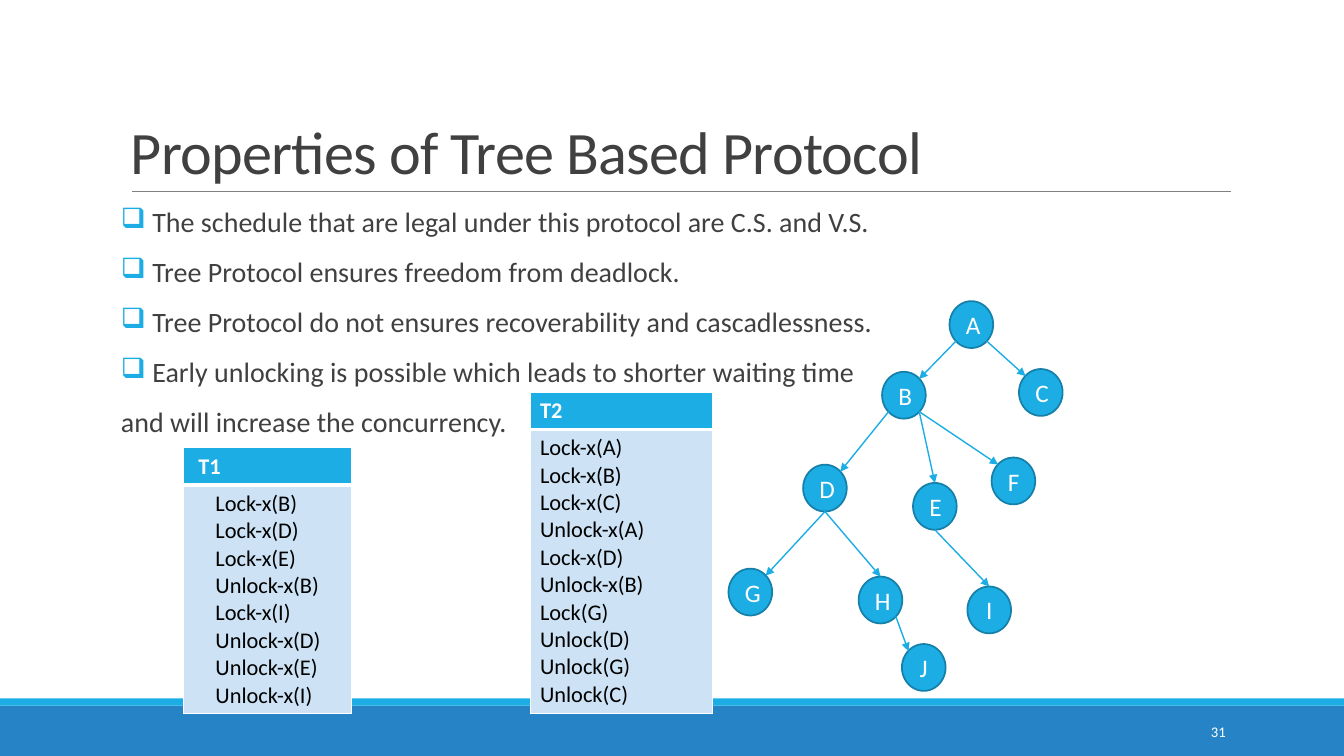
from lxml.etree import SubElement
from pptx import Presentation
from pptx.dml.color import RGBColor
from pptx.enum.shapes import MSO_CONNECTOR as Connector, MSO_SHAPE as Shape
from pptx.enum.text import MSO_ANCHOR as Anchor, PP_ALIGN as Align
from pptx.oxml.ns import qn
from pptx.util import Cm, Pt

TITLE = "Properties of Tree Based Protocol"
PAGE = "31"
PROPERTIES = [
    ("The schedule that are legal under this protocol are C.S. and V.S.", True),
    ("Tree Protocol ensures freedom from deadlock.", True),
    ("Tree Protocol do not ensures recoverability and cascadlessness.", True),
    ("Early unlocking is possible which leads to shorter waiting time", True),
    ("and will increase the concurrency.", False),
]
NODES = {
    "A": (23.93, 7.59), "B": (22.23, 9.37), "C": (25.68, 9.3), "F": (24.99, 11.53),
    "E": (23.01, 12.17), "D": (20.24, 11.71), "I": (24.38, 14.78),
    "H": (21.64, 14.53), "G": (18.36, 14.33), "J": (22.73, 16.23),
}
EDGES = [
    ("A", "lower right", "C", "upper left"),
    ("A", "lower left", "B", "upper right"),
    ("B", "lower right", "F", "upper left"),
    ("B", "lower right", "E", "top"),
    ("B", "lower left", "D", "upper right"),
    ("D", "bottom", "H", "top"),
    ("D", "bottom", "G", "upper right"),
    ("E", "bottom", "I", "top"),
    ("H", "lower right", "J", "upper left"),
]
TRANSACTIONS = [
    {"name": "T2", "at": (13.36, 9.88), "width": 4.6, "insets": (0.25, 0.25),
     "steps": ["Lock-x(A)", "Lock-x(B)", "Lock-x(C)", "Unlock-x(A)", "Lock-x(D)",
               "Unlock-x(B)", "Lock(G)", "Unlock(D)", "Unlock(G)", "Unlock(C)"]},
    {"name": "T1", "at": (4.62, 11.28), "width": 4.24, "insets": (0.38, 0.81),
     "steps": ["Lock-x(B)", "Lock-x(D)", "Lock-x(E)", "Unlock-x(B)",
               "Lock-x(I)", "Unlock-x(D)", "Unlock-x(E)", "Unlock-x(I)"]},
]
THEME = {
    "font": "Calibri", "ink": "404040", "accent": "1CADE4", "edge": "1580A9",
    "bar": "2683C6", "rule": "808080", "pale": "CDE3F5", "white": "FFFFFF",
    "black": "000000", "title": 43, "body": 20, "node": 18, "table": 16, "page": 10.5,
}
SLIDE_W, SLIDE_H = 33.87, 19.05
NODE_W, NODE_H = 1.1, 1.18
ANCHORS = {
    "top": (0.5, 0), "bottom": (0.5, 1),
    "upper left": (0.15, 0.15), "upper right": (0.85, 0.15),
    "lower left": (0.15, 0.85), "lower right": (0.85, 0.85),
}
HEADER_H, LINE_H, CELL_PAD = 0.94, 0.69, 0.25


def color(name):
    return RGBColor.from_string(THEME[name])


def style(paragraph, size, ink, bold=False):
    for run in paragraph.runs:
        font = run.font
        font.name, font.size, font.bold = THEME["font"], Pt(THEME[size]), bold
        font.color.rgb = color(ink)


def add_text(slide, box, anchor):
    frame = slide.shapes.add_textbox(*map(Cm, box)).text_frame
    frame.word_wrap, frame.vertical_anchor = True, anchor
    return frame


def add_block(slide, kind, box, fill, edge=None):
    block = slide.shapes.add_shape(kind, *map(Cm, box))
    block.shadow.inherit = False
    block.fill.solid()
    block.fill.fore_color.rgb = color(fill)
    if edge:
        block.line.color.rgb, block.line.width = color(edge), Pt(1.25)
    else:
        block.line.fill.background()
    return block


def add_line(slide, start, end, ink, width, arrow=False):
    line = slide.shapes.add_connector(Connector.STRAIGHT, *map(Cm, start + end))
    line.line.color.rgb, line.line.width = color(ink), Pt(width)
    if arrow:
        SubElement(line.line._get_or_add_ln(), qn("a:tailEnd"), type="triangle")
    SubElement(line._element.spPr, qn("a:effectLst"))


def add_bullet(paragraph):
    props = paragraph._p.get_or_add_pPr()
    props.set("marL", str(Cm(0.79)))
    props.set("indent", str(Cm(-0.79)))
    tint = SubElement(props, qn("a:buClr"))
    SubElement(tint, qn("a:srgbClr"), val=THEME["accent"])
    SubElement(props, qn("a:buChar"), char="❑")


def add_properties(slide):
    frame = add_text(slide, (3.05, 5.13, 27.94, 12.29), Anchor.TOP)
    frame.margin_left = frame.margin_right = 0
    frame.text = "\n".join(text for text, _ in PROPERTIES)
    for index, (paragraph, (_, bulleted)) in enumerate(zip(frame.paragraphs, PROPERTIES)):
        paragraph.line_spacing = 0.9
        paragraph.space_before, paragraph.space_after = Pt(12 if index else 0), Pt(2)
        if bulleted:
            add_bullet(paragraph)
        style(paragraph, "body", "ink")


def anchor_point(node, anchor):
    (x, y), (across, down) = NODES[node], ANCHORS[anchor]
    return x + NODE_W * across, y + NODE_H * down


def add_tree(slide):
    for letter, place in NODES.items():
        node = add_block(slide, Shape.OVAL, place + (NODE_W, NODE_H), "accent", "edge")
        node.text_frame.text = letter
        node.text_frame.vertical_anchor = Anchor.MIDDLE
        label = node.text_frame.paragraphs[0]
        label.alignment = Align.CENTER
        style(label, "node", "white")
    for parent, leave, child, enter in EDGES:
        add_line(slide, anchor_point(parent, leave), anchor_point(child, enter), "accent", 1, True)


def add_borders(cell, bottom):
    props = cell._tc.get_or_add_tcPr()
    for index, (side, width) in enumerate((("L", 1), ("R", 1), ("T", 1), ("B", bottom))):
        border = props.makeelement(qn(f"a:ln{side}"), {"w": str(Pt(width))})
        SubElement(SubElement(border, qn("a:solidFill")), qn("a:srgbClr"), val=THEME["white"])
        props.insert(index, border)


def add_transaction(slide, name, at, width, insets, steps):
    heights = (HEADER_H, LINE_H * len(steps) + CELL_PAD)
    box = at + (width, sum(heights))
    table = slide.shapes.add_table(2, 1, *map(Cm, box)).table
    rows = (
        (name, "accent", "white", True, 3),
        ("\n".join(steps), "pale", "black", False, 1),
    )
    for index, (text, fill, ink, bold, bottom) in enumerate(rows):
        table.rows[index].height = Cm(heights[index])
        cell = table.cell(index, 0)
        cell.margin_left = Cm(insets[index])
        cell.fill.solid()
        cell.fill.fore_color.rgb = color(fill)
        add_borders(cell, bottom)
        cell.text_frame.text = text
        for paragraph in cell.text_frame.paragraphs:
            style(paragraph, "table", ink, bold)


def main():
    deck = Presentation()
    deck.slide_width, deck.slide_height = Cm(SLIDE_W), Cm(SLIDE_H)
    slide = deck.slides.add_slide(deck.slide_layouts[6])

    add_block(slide, Shape.RECTANGLE, (0, 17.78, SLIDE_W, 1.27), "bar")
    add_block(slide, Shape.RECTANGLE, (0, 17.6, SLIDE_W, 0.18), "accent")
    add_line(slide, (3.33, 4.83), (31.01, 4.83), "rule", 0.5)

    heading = add_text(slide, (3.05, 0.79, 27.94, 4.04), Anchor.BOTTOM)
    heading.text = TITLE
    title = heading.paragraphs[0]
    title.line_spacing = 0.85
    style(title, "title", "ink")
    title.runs[0].font._element.set("spc", "-50")

    add_properties(slide)

    footer = add_text(slide, (27.51, 17.93, 3.63, 1.02), Anchor.MIDDLE)
    footer.text = PAGE
    footer.paragraphs[0].alignment = Align.RIGHT
    style(footer.paragraphs[0], "page", "white")

    add_tree(slide)
    for transaction in TRANSACTIONS:
        add_transaction(slide, **transaction)
    deck.save("out.pptx")


if __name__ == "__main__":
    main()
